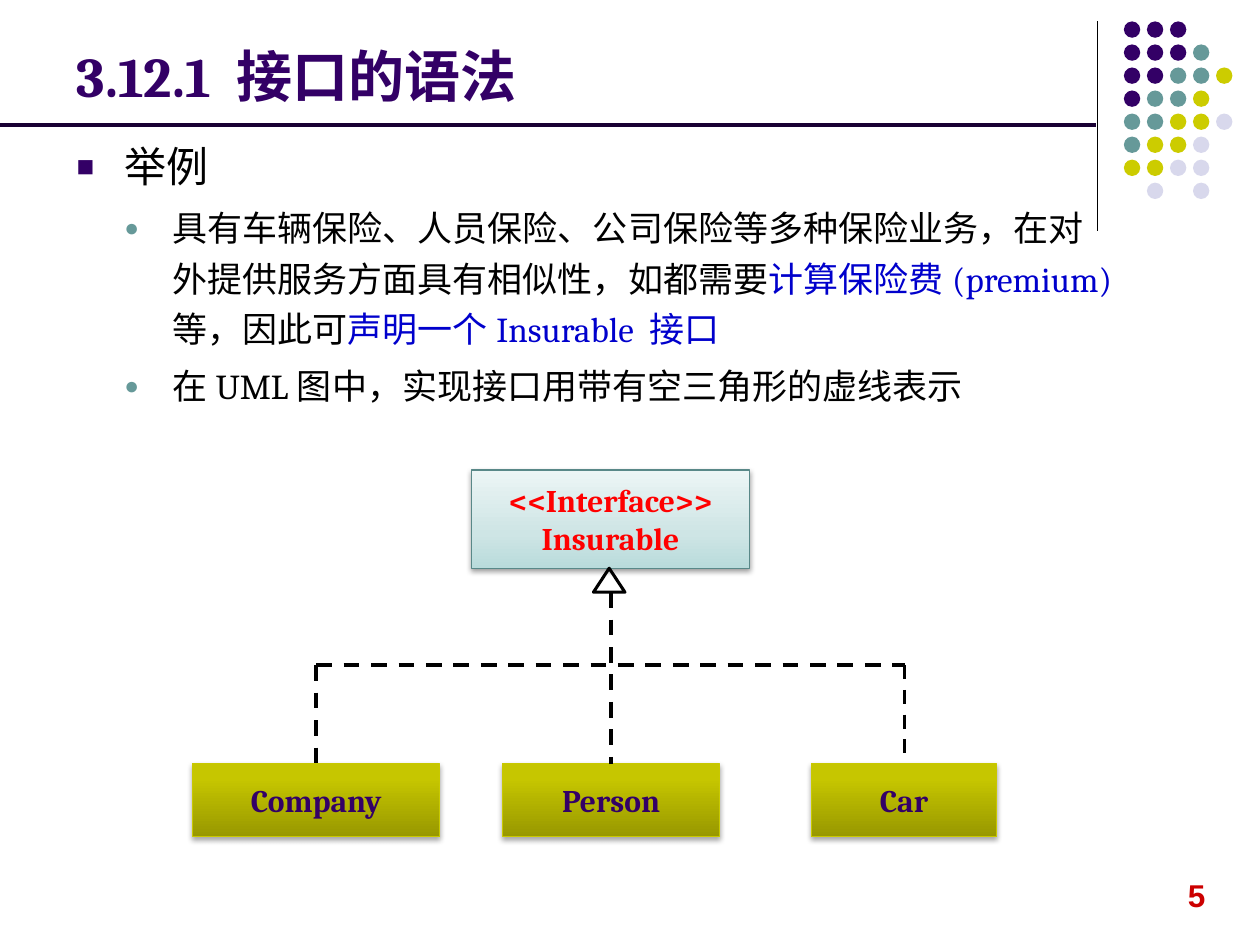
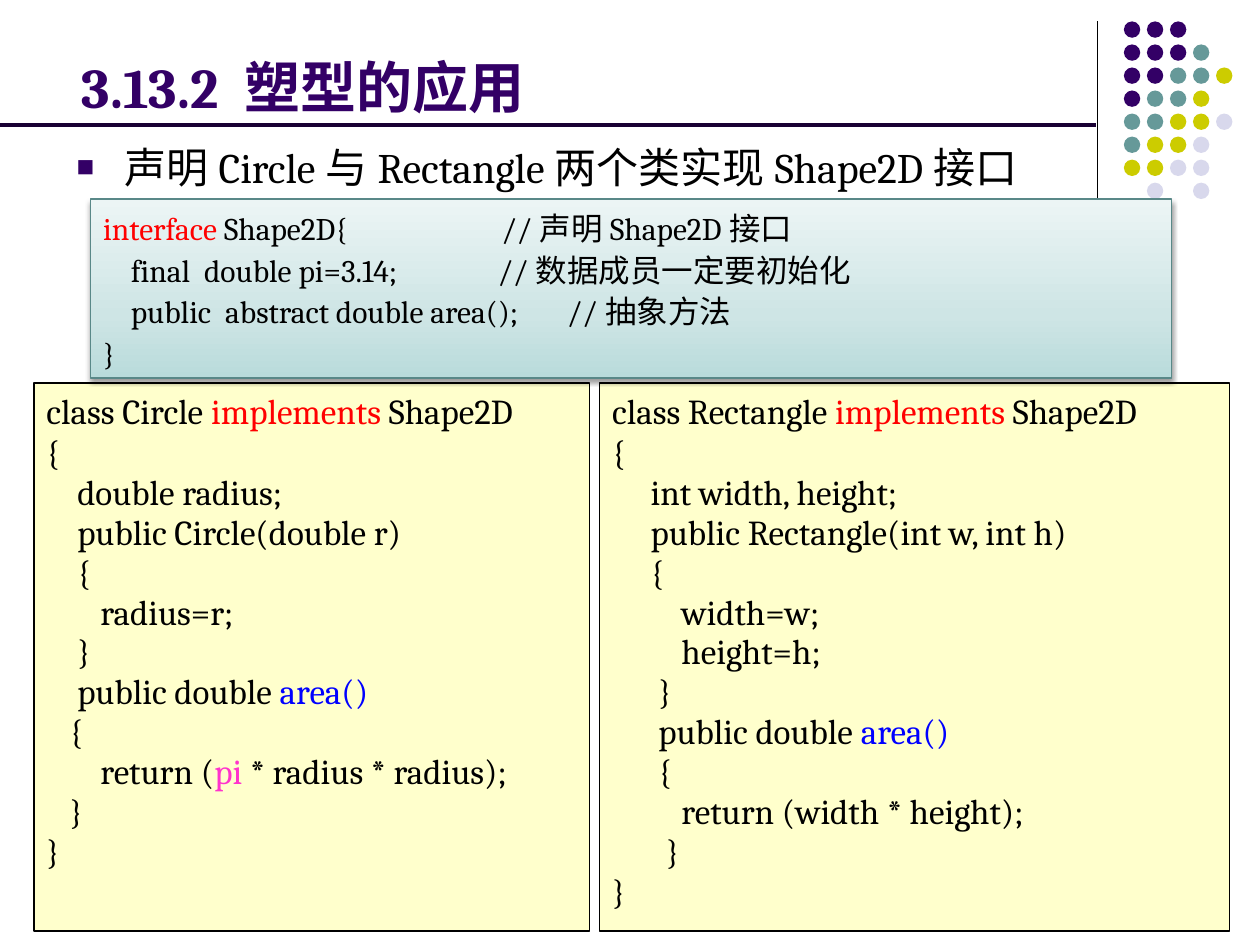
"""Builds two slides on Java interfaces: a UML sketch and a code example."""
from dataclasses import dataclass

from lxml import etree
from pptx import Presentation
from pptx import util as u
from pptx.dml import color
from pptx.enum import dml, shapes, text
from pptx.oxml import ns


@dataclass(frozen=True)
class Theme:
    font: str = "Cambria"
    number_font: str = "Arial"
    purple: str = "330066"
    teal: str = "669999"
    olive: str = "CCCC00"
    lilac: str = "D8D8EC"
    rule: str = "190033"
    black: str = "000000"
    red: str = "FF0000"
    blue: str = "0000FF"
    navy: str = "0000CC"
    pink: str = "FF33CC"
    number: str = "CC0000"
    cream: str = "FFFFCC"
    teal_edge: str = "598888"
    olive_edge: str = "C8C800"
    teal_fade: tuple = ((0, "B9DBDB"), (35, "CEE5E5"), (100, "ECF5F5"))
    olive_fade: tuple = ((0, "989800"), (80, "C6C600"), (100, "C7C700"))
    title_size: int = 32
    lead_size: int = 24
    body_size: int = 20
    small_size: int = 18


T = Theme()
DOTS = ("PPP", "PPPT", "PPTTY", "PTTY", "TTYYL", "TYYL", "YYLL", " L L")
DOT_COLORS = {"P": T.purple, "T": T.teal, "Y": T.olive, "L": T.lilac}


def rgb(value):
    return color.RGBColor.from_string(value)


def child(parent, tag, **attrs):
    return etree.SubElement(parent, ns.qn(tag), {k: str(v) for k, v in attrs.items()})


class Deck:
    def __init__(self):
        self.prs = Presentation()
        self.prs.slide_width, self.prs.slide_height = u.Inches(10), u.Inches(7.5)
        self.s = None

    def slide(self, title, left, height):
        self.s = self.prs.slides.add_slide(self.prs.slide_layouts[5])
        sp = self.s.shapes.title
        sp.left, sp.top, sp.width, sp.height = map(u.Inches, (left, 0.21, 8.25, height))
        tf = sp.text_frame
        tf.word_wrap = True
        tf.auto_size = text.MSO_AUTO_SIZE.NONE
        tf.vertical_anchor = text.MSO_ANCHOR.BOTTOM
        p = tf.paragraphs[0]
        p.alignment = text.PP_ALIGN.LEFT
        self.runs(p, [title], T.title_size, T.purple, True)
        self.line(8.71, 0.17, 8.71, 1.83, 0.75)
        for row, codes in enumerate(DOTS):
            for col, code in enumerate(codes):
                if code in DOT_COLORS:
                    self.dot(row, col, DOT_COLORS[code])
        self.line(0, 0.99, 8.7, 0.99, 2.25, T.rule)

    def dot(self, row, col, fill):
        pitch = 1.28 / 7
        self.shape((8.92 + col * pitch, 0.17 + row * pitch, 0.13, 0.13), fill,
                   kind=shapes.MSO_SHAPE.OVAL)

    def runs(self, p, parts, size, ink=T.black, bold=False, font=T.font):
        for part in parts:
            words, tint = (part, ink) if isinstance(part, str) else part
            r = p.add_run()
            r.text = words
            r.font.name, r.font.size, r.font.bold = font, u.Pt(size), bold
            r.font.color.rgb = rgb(tint)

    def line(self, x1, y1, x2, y2, width, ink=T.black, dashed=False):
        sp = self.s.shapes.add_connector(
            shapes.MSO_CONNECTOR.STRAIGHT, *map(u.Inches, (x1, y1, x2, y2)))
        sp.line.color.rgb = rgb(ink)
        sp.line.width = u.Pt(width)
        if dashed:
            sp.line.dash_style = dml.MSO_LINE.DASH
        child(sp._element.spPr, "a:effectLst")

    def shape(self, box, fill=None, edge=None, width=0.75,
              kind=shapes.MSO_SHAPE.RECTANGLE):
        sp = self.s.shapes.add_shape(kind, *map(u.Inches, box))
        sp.shadow.inherit = False
        if fill:
            sp.fill.solid()
            sp.fill.fore_color.rgb = rgb(fill)
        else:
            sp.fill.background()
        if edge:
            sp.line.color.rgb = rgb(edge)
            sp.line.width = u.Pt(width)
        else:
            sp.line.fill.background()
        return sp

    def faded(self, box, stops, edge, distance, alpha):
        sp = self.shape(box, edge=edge)
        sp.fill.gradient()
        sp.fill.gradient_angle = 90
        gs_list = sp._element.spPr.find(".//" + ns.qn("a:gsLst"))
        for gs in list(gs_list):
            gs_list.remove(gs)
        for pos, tint in stops:
            child(child(gs_list, "a:gs", pos=pos * 1000), "a:srgbClr", val=tint)
        shadow = child(sp._element.spPr.find(ns.qn("a:effectLst")), "a:outerShdw",
                       blurRad=u.Pt(3.1), dist=u.Pt(distance), dir=5400000, rotWithShape=0)
        child(child(shadow, "a:srgbClr", val=T.black), "a:alpha", val=alpha * 1000)
        return sp

    def teal_box(self, box):
        return self.faded(box, T.teal_fade, T.teal_edge, 1.6, 38)

    def olive_box(self, box):
        return self.faded(box, T.olive_fade, T.olive_edge, 1.8, 35)

    def label(self, sp, lines, ink):
        tf = sp.text_frame
        tf.word_wrap = True
        tf.vertical_anchor = text.MSO_ANCHOR.MIDDLE
        for i, words in enumerate(lines):
            p = tf.add_paragraph() if i else tf.paragraphs[0]
            p.alignment = text.PP_ALIGN.CENTER
            self.runs(p, [words], T.small_size, ink, True)

    def code(self, sp, lines, size, spacing, before=0, tabs=()):
        tf = sp.text_frame
        tf.word_wrap = True
        tf.vertical_anchor = text.MSO_ANCHOR.TOP
        for i, parts in enumerate(lines):
            p = tf.add_paragraph() if i else tf.paragraphs[0]
            if i < len(tabs):
                tab_list = child(p._p.get_or_add_pPr(), "a:tabLst")
                child(tab_list, "a:tab", pos=u.Inches(tabs[i]), algn="l")
            p.alignment = text.PP_ALIGN.LEFT
            if i or not before:
                p.line_spacing = spacing
            if i and before:
                p.space_before = u.Pt(before)
            self.runs(p, parts, size)

    def bullets(self, box, items):
        tf = self.s.shapes.add_textbox(*map(u.Inches, box)).text_frame
        tf.word_wrap = True
        for i, (level, parts) in enumerate(items):
            p = tf.add_paragraph() if i else tf.paragraphs[0]
            mark, tint, size = (("■", T.purple, T.lead_size),
                                ("●", T.teal, T.body_size))[level]
            pPr = p._p.get_or_add_pPr()
            pPr.set("marL", str(u.Inches(0.38 * (level + 1))))
            pPr.set("indent", str(u.Inches(-0.38)))
            child(child(pPr, "a:buClr"), "a:srgbClr", val=tint)
            child(pPr, "a:buSzPct", val=70000)
            child(pPr, "a:buFont", typeface=T.number_font)
            child(pPr, "a:buChar", char=mark)
            p.level = level
            if level:
                p.line_spacing = 1.2
            if i:
                p.space_before = u.Pt(size * 0.2)
            self.runs(p, parts, size)

    def page_number(self, number):
        tf = self.s.shapes.add_textbox(*map(u.Inches, (9.33, 6.9, 0.48, 0.4))).text_frame
        tf.word_wrap = False
        self.runs(tf.paragraphs[0], [number], T.small_size, T.number, True, T.number_font)


def interface_slide(deck):
    deck.slide("3.12.1 接口的语法", 0.51, 0.7)
    deck.bullets((0.51, 1.07, 8.43, 5.67), [
        (0, ["举例"]),
        (1, ["具有车辆保险、人员保险、公司保险等多种保险业务，在对外提供服务方面具有相似性，如都需要",
             ("计算保险费(premium)", T.navy), "等，因此可",
             ("声明一个Insurable 接口", T.navy)]),
        (1, ["在UML图中，实现接口用带有空三角形的虚线表示"]),
    ])
    deck.label(deck.teal_box((3.74, 3.73, 2.21, 0.78)),
               ["<<Interface>>", "Insurable"], T.red)
    for name, left, width in (("Company", 1.53, 1.96), ("Person", 3.99, 1.72),
                              ("Car", 6.44, 1.47)):
        deck.label(deck.olive_box((left, 6.06, width, 0.58)), [name], T.purple)
    deck.shape((4.71, 4.51, 0.25, 0.19), edge=T.black, width=1.75,
               kind=shapes.MSO_SHAPE.ISOSCELES_TRIANGLE)
    for x1, y1, x2, y2, width in ((4.85, 4.7, 4.85, 6.06, 2.25),
                                  (2.51, 5.28, 7.18, 5.28, 2.25),
                                  (2.51, 5.28, 2.51, 6.06, 2.25),
                                  (7.18, 5.28, 7.18, 6.06, 2)):
        deck.line(x1, y1, x2, y2, width, dashed=True)
    deck.page_number("5")


def shapes_slide(deck):
    deck.slide("3.13.2 塑型的应用", 0.55, 0.79)
    deck.bullets((0.51, 1.07, 9, 0.51),
                 [(0, ["声明Circle与Rectangle两个类实现Shape2D接口"])])
    area = ("area()", T.blue)
    circle = [
        ["class Circle ", ("implements ", T.red), "Shape2D"],
        ["{"],
        ["    double radius;"],
        ["    public Circle(double r)"],
        ["    {"],
        ["       radius=r;"],
        ["    }"],
        ["    public double ", area],
        ["   {"],
        ["       return (", ("pi", T.pink), " * radius * radius);"],
        ["   }"],
        ["}"],
    ]
    rectangle = [
        ["class Rectangle ", ("implements", T.red), " Shape2D"],
        ["{"],
        ["     int width, height;"],
        ["     public Rectangle(int w, int h)"],
        ["     {"],
        ["         width=w;"],
        ["         height=h;"],
        ["      }"],
        ["      public double ", area],
        ["      {"],
        ["         return (width * height);"],
        ["       }"],
        ["}"],
    ]
    for left, width, lines in ((0.27, 4.41, circle), (4.76, 5, rectangle)):
        sp = deck.shape((left, 3.04, width, 4.35), T.cream, T.black)
        deck.code(sp, lines, T.body_size, 0.7, 6)
    deck.code(deck.teal_box((0.72, 1.58, 8.58, 1.42)), [
        [("interface ", T.red), "Shape2D{\t//声明Shape2D接口"],
        ["    final  double pi=3.14;\t//数据成员一定要初始化"],
        ["    public  abstract double area();\t//抽象方法"],
        ["}"],
    ], T.small_size, 1.1, tabs=(3.16, 3.13, 3.68))


def main():
    deck = Deck()
    interface_slide(deck)
    shapes_slide(deck)
    deck.prs.save("out.pptx")


if __name__ == "__main__":
    main()
